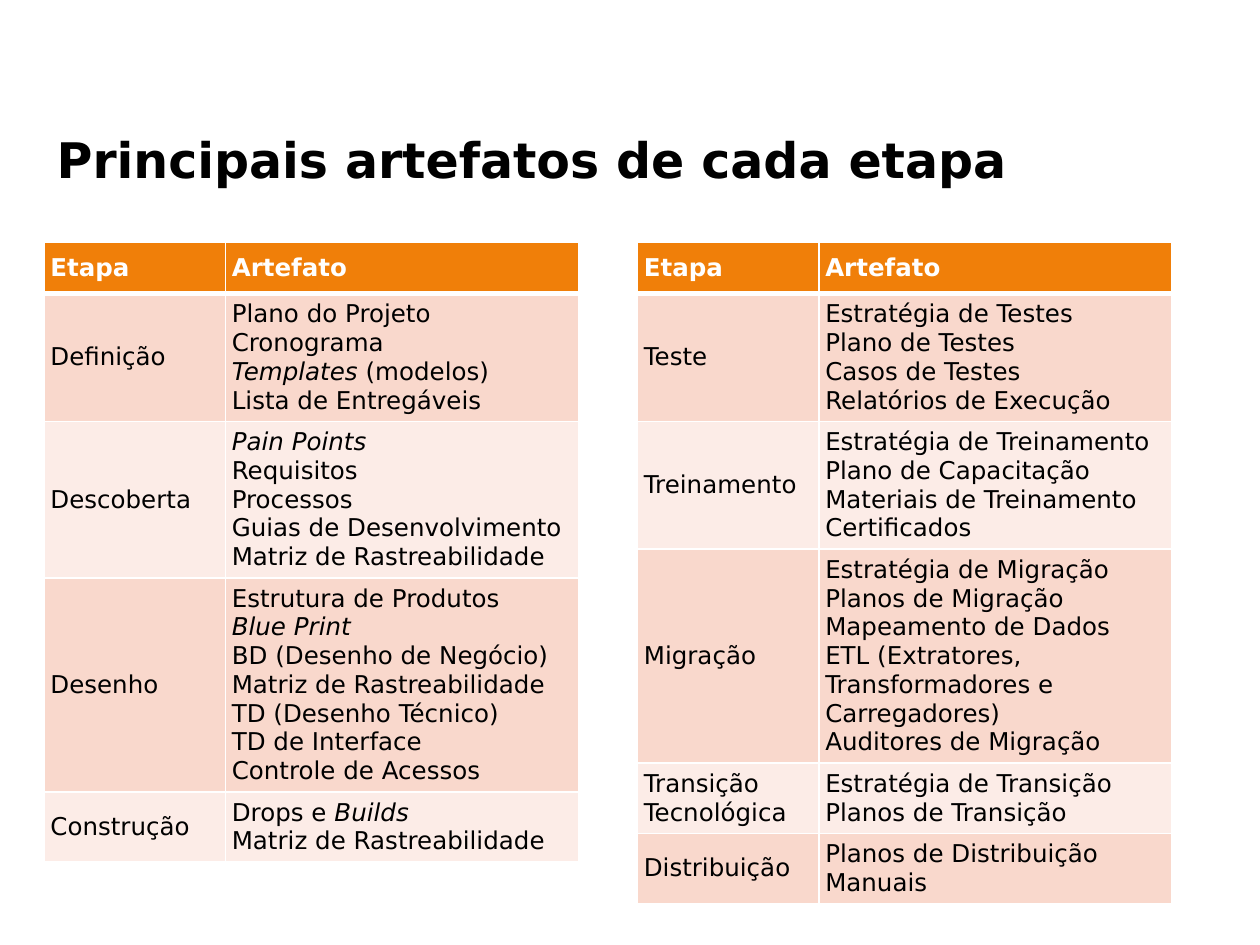
from pptx import Presentation
from pptx.dml.color import RGBColor
from pptx.enum.text import MSO_ANCHOR, PP_ALIGN
from pptx.oxml import parse_xml
from pptx.oxml.ns import nsdecls
from pptx.util import Inches, Pt

FONT = "DejaVu Sans"
BLACK = RGBColor(0x00, 0x00, 0x00)
WHITE = RGBColor(0xFF, 0xFF, 0xFF)
ORANGE = RGBColor(0xF0, 0x7F, 0x09)
BANDS = [RGBColor(0xFC, 0xEC, 0xE7), RGBColor(0xF9, 0xD8, 0xCC)]

LEFT, TOP, PITCH = 0.35, 1.92, 4.71
COLUMNS = [1.44, 2.8]
ROW = 0.41
INSET = Inches(0.05)

HEADER = ("Etapa", ["Artefato"])
# Asterisks enclose italic words.
TABLES = [
    [
        HEADER,
        ("Definição", ["Plano do Projeto", "Cronograma", "*Templates* (modelos)",
                       "Lista de Entregáveis"]),
        ("Descoberta", ["*Pain Points*", "Requisitos", "Processos",
                        "Guias de Desenvolvimento", "Matriz de Rastreabilidade"]),
        ("Desenho", ["Estrutura de Produtos", "*Blue Print*", "BD (Desenho de Negócio)",
                     "Matriz de Rastreabilidade", "TD (Desenho Técnico)",
                     "TD de Interface", "Controle de Acessos"]),
        ("Construção", ["Drops e *Builds*", "Matriz de Rastreabilidade"]),
    ],
    [
        HEADER,
        ("Teste", ["Estratégia de Testes", "Plano de Testes", "Casos de Testes",
                   "Relatórios de Execução"]),
        ("Treinamento", ["Estratégia de Treinamento", "Plano de Capacitação",
                         "Materiais de Treinamento", "Certificados"]),
        ("Migração", ["Estratégia de Migração", "Planos de Migração",
                      "Mapeamento de Dados",
                      "ETL (Extratores, Transformadores e Carregadores)",
                      "Auditores de Migração"]),
        ("Transição Tecnológica", ["Estratégia de Transição", "Planos de Transição"]),
        ("Distribuição", ["Planos de Distribuição", "Manuais"]),
    ],
]


def set_borders(cell, top, bottom):
    """Draw white cell borders; top and bottom are widths in points."""
    tcPr = cell._tc.get_or_add_tcPr()
    for side, width in (("L", 1), ("R", 1), ("T", top), ("B", bottom)):
        tcPr.append(parse_xml(
            f'<a:ln{side} {nsdecls("a")} w="{Pt(width)}"><a:solidFill>'
            f'<a:srgbClr val="{WHITE}"/></a:solidFill></a:ln{side}>'))


def fill_cell(cell, lines, header):
    cell.vertical_anchor = MSO_ANCHOR.MIDDLE
    cell.margin_left = cell.margin_right = INSET
    cell.margin_top = cell.margin_bottom = INSET
    tf = cell.text_frame
    for i, line in enumerate(lines):
        p = tf.add_paragraph() if i else tf.paragraphs[0]
        p.alignment = PP_ALIGN.LEFT
        p.font.name, p.font.size, p.font.bold = FONT, Pt(14), header
        p.font.color.rgb = WHITE if header else BLACK
        for j, part in enumerate(line.split("*")):
            if part:
                r = p.add_run()
                r.text = part
                r.font.name, r.font.size, r.font.bold = FONT, Pt(14), header
                r.font.italic = j % 2 == 1
                r.font.color.rgb = WHITE if header else BLACK


prs = Presentation()
prs.slide_width, prs.slide_height = Inches(10), Inches(7.5)
s = prs.slides.add_slide(prs.slide_layouts[5])

title = s.shapes.title
title.left, title.top = Inches(LEFT), Inches(0.71)
title.width, title.height = Inches(9.32), Inches(1.11)
tf = title.text_frame
tf.text = "Principais artefatos de cada etapa"
tf.vertical_anchor = MSO_ANCHOR.MIDDLE
p = tf.paragraphs[0]
p.alignment = PP_ALIGN.LEFT
p.font.name, p.font.size, p.font.bold = FONT, Pt(28), True
p.font.color.rgb = BLACK

for t, stages in enumerate(TABLES):
    table = s.shapes.add_table(
        len(stages), len(COLUMNS), Inches(LEFT + t * PITCH), Inches(TOP),
        Inches(sum(COLUMNS)), Inches(ROW * len(stages))).table
    for column, width in zip(table.columns, COLUMNS):
        column.width = Inches(width)
    for i, (stage, artifacts) in enumerate(stages):
        for j, lines in enumerate(([stage], artifacts)):
            cell = table.cell(i, j)
            fill_cell(cell, lines, header=i == 0)
            set_borders(cell, top=3 if i == 1 else 1, bottom=3 if i == 0 else 1)
            cell.fill.solid()
            cell.fill.fore_color.rgb = BANDS[i % 2] if i else ORANGE

prs.save("out.pptx")
